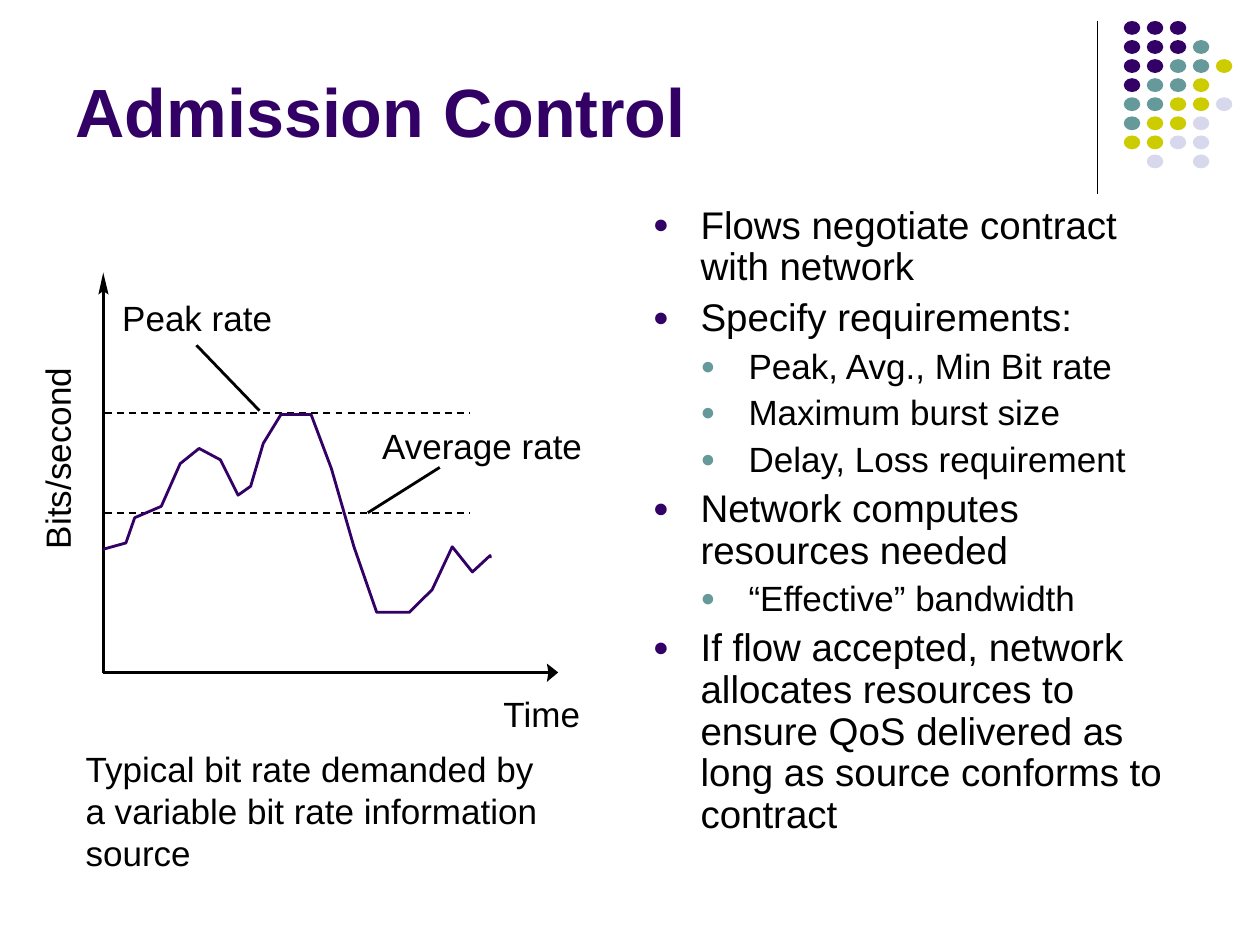
from lxml import etree
from pptx import Presentation
from pptx import util as u
from pptx.dml.color import RGBColor
from pptx.enum import dml, shapes, text
from pptx.oxml import ns

BLACK = RGBColor(0x00, 0x00, 0x00)
PURPLE = RGBColor(0x33, 0x00, 0x66)
TEAL = RGBColor(0x66, 0x99, 0x99)
LIME = RGBColor(0xCC, 0xCC, 0x00)
PALE = RGBColor(0xD8, 0xD8, 0xEC)
FONT = "Arial"
Pt = u.Pt

TITLE = "Admission Control"
CAPTION = "Typical bit rate demanded by a variable bit rate information source"
POINTS = [
    (0, "Flows negotiate contract with network"),
    (0, "Specify requirements:"),
    (1, "Peak, Avg., Min Bit rate"),
    (1, "Maximum burst size"),
    (1, "Delay, Loss requirement"),
    (0, "Network computes resources needed"),
    (1, "“Effective” bandwidth"),
    (0, "If flow accepted, network allocates resources to ensure QoS "
        "delivered as long as source conforms to contract"),
]
LEVELS = [(22, 5.5, PURPLE), (20, 5, TEAL)]
INDENT = 27.36

DOTS = ["PPP", "PPPT", "PPTTL", "PTTL", "TTLLA", "TLLA", "LLAA", " A A"]
HUES = {"P": PURPLE, "T": TEAL, "L": LIME, "A": PALE}

LABELS = [
    ("Time", (286.3, 396, 46.6, 23.8), 0),
    ("Bits/second", (-20.4, 250, 105.7, 23.8), 270),
    ("Peak rate", (67.7, 169.2, 90, 23.8), 0),
    ("Average rate", (216.5, 242.6, 118, 23.8), 0),
]
LINES = [
    ((627.1, 12.2), (627.1, 110.9), 0.75, False),
    ((112.3, 197.3), (148.3, 234.7), 1.62, False),
    ((251.3, 267.1), (210.2, 293), 1.62, False),
    ((59, 384.3), (314.6, 384.3), 1.62, False),
    ((59, 384.3), (59, 164.9), 1.62, False),
    ((59.8, 236.2), (268.6, 236.2), 1, True),
    ((59.8, 293), (268.6, 293), 1, True),
]
HEADS = [
    [(312.5, 389.7), (313.4, 384.3), (312.5, 379.2), (319, 384.3)],
    [(62, 168.3), (59, 166.3), (56.2, 168.3), (59, 155.7)],
]
RATE = [
    (59, 313.9), (72, 310.3), (77, 295.9), (92.2, 289.4), (103, 265),
    (113.8, 256.3), (126, 262.8), (136.1, 283), (143.3, 277.9),
    (150.5, 253.4), (160.6, 236.9), (177.8, 236.9), (189.4, 267.8),
    (202.3, 312.5), (215.3, 349.9), (234, 349.9), (247, 337),
    (258.5, 312.5), (270, 326.9), (280.1, 317.5), (280.1, 319),
]


def place(shape, box):
    shape.left, shape.top, shape.width, shape.height = map(Pt, box)


def write(para, words, size, color=BLACK, bold=False):
    run = para.add_run()
    run.text = words
    font = run.font
    font.name, font.size, font.bold = FONT, Pt(size), bold
    font.color.rgb = color


def bullet(para, level, color):
    props = para._p.get_or_add_pPr()
    props.set("marL", str(Pt(INDENT * (level + 1))))
    props.set("indent", str(-Pt(INDENT)))
    hue = etree.SubElement(props, ns.qn("a:buClr"))
    etree.SubElement(hue, ns.qn("a:srgbClr"), val=str(color))
    etree.SubElement(props, ns.qn("a:buSzPct"), val="70000")
    etree.SubElement(props, ns.qn("a:buFont"), typeface=FONT)
    etree.SubElement(props, ns.qn("a:buChar"), char="●")


def outline(slide, points, closed):
    points = [(Pt(x), Pt(y)) for x, y in points]
    pen = slide.shapes.build_freeform(*points[0])
    pen.add_line_segments(points[1:], close=closed)
    shape = pen.convert_to_shape()
    shape.shadow.inherit = False
    return shape


def fill(shape, color):
    shape.shadow.inherit = False
    shape.fill.solid()
    shape.fill.fore_color.rgb = color
    shape.line.fill.background()


def add_dots(slide):
    for row, marks in enumerate(DOTS):
        for col, mark in enumerate(marks):
            if mark in HUES:
                box = (642.2 + 13.15 * col, 12 + 10.9 * row, 9.4, 7.9)
                dot = slide.shapes.add_shape(
                    shapes.MSO_SHAPE.OVAL, *map(Pt, box))
                fill(dot, HUES[mark])


def add_graph(slide):
    for words, box, turn in LABELS:
        label = slide.shapes.add_textbox(*map(Pt, box))
        label.rotation = turn
        frame = label.text_frame
        frame.word_wrap = False
        frame.auto_size = text.MSO_AUTO_SIZE.SHAPE_TO_FIT_TEXT
        frame.margin_left = frame.margin_right = 0
        frame.margin_top = frame.margin_bottom = 0
        para = frame.paragraphs[0]
        para.alignment = text.PP_ALIGN.CENTER
        write(para, words, 20)
    for start, end, width, dashed in LINES:
        line = slide.shapes.add_connector(
            shapes.MSO_CONNECTOR.STRAIGHT, *map(Pt, start + end))
        line.line.color.rgb = BLACK
        line.line.width = Pt(width)
        if dashed:
            line.line.dash_style = dml.MSO_LINE.DASH
        etree.SubElement(line._element.spPr, ns.qn("a:effectLst"))
    for points in HEADS:
        fill(outline(slide, points, True), BLACK)
    curve = outline(slide, RATE, False)
    curve.fill.background()
    curve.line.color.rgb = PURPLE
    curve.line.width = Pt(1.62)


def add_text(slide):
    title, body = slide.placeholders
    place(title, (36, 9.4, 594, 80.6))
    frame = title.text_frame
    frame.auto_size = text.MSO_AUTO_SIZE.NONE
    frame.vertical_anchor = text.MSO_ANCHOR.BOTTOM
    para = frame.paragraphs[0]
    para.alignment = text.PP_ALIGN.LEFT
    write(para, TITLE, 39, PURPLE, True)

    place(body, (365.8, 114, 318.2, 368.6))
    frame = body.text_frame
    frame.auto_size = text.MSO_AUTO_SIZE.NONE
    for pos, (level, words) in enumerate(POINTS):
        para = frame.add_paragraph() if pos else frame.paragraphs[0]
        size, gap, color = LEVELS[level]
        para.level = level
        para.line_spacing = 0.9
        para.space_before = Pt(gap)
        bullet(para, level, color)
        write(para, words, size)

    note = slide.shapes.add_textbox(*map(Pt, (41.8, 423.4, 275, 79.2)))
    note.text_frame.word_wrap = True
    write(note.text_frame.paragraphs[0], CAPTION, 20)


def main():
    deck = Presentation()
    deck.slide_width, deck.slide_height = Pt(720), Pt(540)
    slide = deck.slides.add_slide(deck.slide_layouts[1])
    add_dots(slide)
    add_graph(slide)
    add_text(slide)
    deck.save("out.pptx")


if __name__ == "__main__":
    main()
